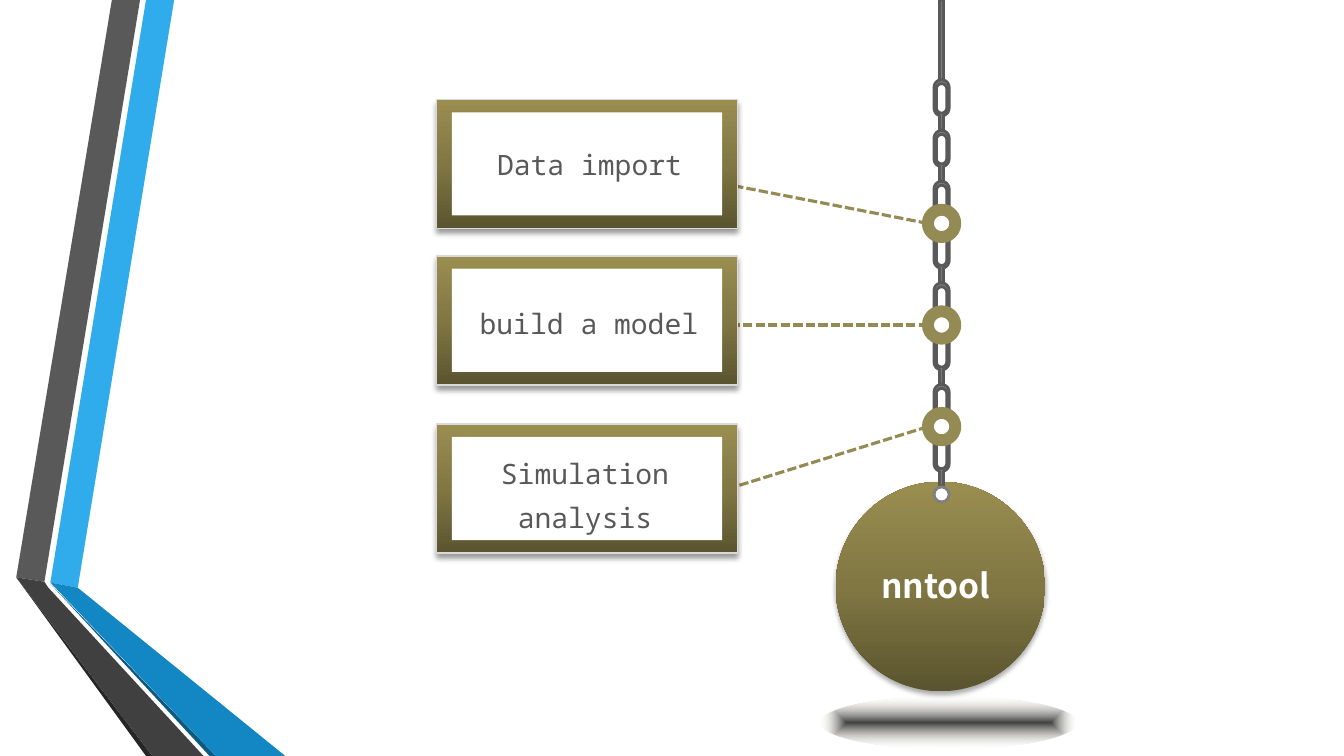
from math import cos, radians, sin
from lxml import etree
from pptx import Presentation
from pptx.dml.color import RGBColor
from pptx.enum.dml import MSO_LINE
from pptx.enum.shapes import MSO_CONNECTOR, MSO_SHAPE
from pptx.enum.text import PP_ALIGN
from pptx.oxml import parse_xml
from pptx.oxml.ns import nsdecls, qn
from pptx.util import Cm, Pt

WHITE = RGBColor(0xFF, 0xFF, 0xFF)
BLUE = RGBColor(0x30, 0xAC, 0xEC)
MID_BLUE = RGBColor(0x12, 0x87, 0xC3)
DEEP_BLUE = RGBColor(0x0C, 0x5A, 0x82)
BLACK_GRAY = RGBColor(0x26, 0x26, 0x26)
DARK_GRAY = RGBColor(0x40, 0x40, 0x40)
SLATE = RGBColor(0x59, 0x59, 0x59)
MID_GRAY = RGBColor(0x80, 0x80, 0x80)
SILVER = RGBColor(0xA6, 0xA6, 0xA6)
PALE_GRAY = RGBColor(0xD9, 0xD9, 0xD9)
CREAM = RGBColor(0xEE, 0xEC, 0xE1)
OLIVE = RGBColor(0x94, 0x8A, 0x54)
OLIVE_DARK = RGBColor(0x5A, 0x54, 0x2F)
OLIVE_MID = RGBColor(0x81, 0x77, 0x43)
OLIVE_LIGHT = RGBColor(0x99, 0x8D, 0x4F)
BLACK = RGBColor(0, 0, 0)

presentation = Presentation()
presentation.slide_width, presentation.slide_height = Cm(33.87), Cm(19.05)
slide = presentation.slides.add_slide(presentation.slide_layouts[6])
shapes = slide.shapes


def style(shape, fill, line=None, width=0):
    shape.shadow.inherit = False
    if fill is None:
        shape.fill.background()
    else:
        shape.fill.solid()
        shape.fill.fore_color.rgb = fill
    if line is None:
        shape.line.fill.background()
    else:
        shape.line.color.rgb = line
        shape.line.width = Pt(width)
    return shape


def add_outline(contours):
    (start, *_), *_ = contours
    builder = shapes.build_freeform(Cm(start[0]), Cm(start[1]))
    for contour in contours:
        if contour is not contours[0]:
            builder.move_to(Cm(contour[0][0]), Cm(contour[0][1]))
        builder.add_line_segments([(Cm(x), Cm(y)) for x, y in contour[1:]])
    return builder.convert_to_shape()


ribbons = [
    (BLUE, [(1.27, 14.68), (1.96, 14.81), (4.39, 0), (3.68, 0), (1.27, 14.68)]),
    (SLATE, [(3.53, 0), (2.82, 0), (0.41, 14.55), (1.12, 14.66), (3.53, 0)]),
    (BLACK_GRAY, [(0.41, 14.55), (3.68, 19.05), (3.84, 19.05), (0.41, 14.55)]),
    (DEEP_BLUE, [(1.27, 14.71), (5.28, 19.05), (5.44, 19.05), (1.27, 14.71)]),
    (MID_BLUE, [(1.27, 14.68), (5.44, 19.05), (7.19, 19.05), (1.96, 14.81), (1.27, 14.68)]),
    (DARK_GRAY, [(5.13, 19.05), (1.22, 14.81), (1.12, 14.66), (0.41, 14.55),
                 (3.84, 19.05), (5.13, 19.05)]),
]
for color, points in ribbons:
    style(add_outline([points]), color)

ball = shapes.add_shape(MSO_SHAPE.OVAL, Cm(21.06), Cm(12.14), Cm(5.28), Cm(5.28))
pin = shapes.add_shape(MSO_SHAPE.OVAL, Cm(23.62), Cm(12.27), Cm(0.15), Cm(0.25))
style(ball, None)
style(pin, None)

chain_x, chain_top, link_pitch = 23.73, 2.01, 1.28
top_arc = range(180, 361, 15)
bottom_arc = range(0, 181, 15)
for index in range(8):
    top = chain_top + index * link_pitch
    contours = []
    for radius, upper, lower in [(0.19, 0.19, 0.72), (0.13, 0.23, 0.71)]:
        contour = [(chain_x + radius * cos(radians(angle)), top + center + radius * sin(radians(angle)))
                   for arc, center in [(top_arc, upper), (bottom_arc, lower)] for angle in arc]
        contours.append(contour + contour[:1])
    stem = [(chain_x + 0.05, top + 0.9), (chain_x + 0.05, top + 1.27),
            (chain_x - 0.05, top + 1.27), (chain_x - 0.05, top + 0.9)]
    bottom_middle = len(top_arc) + len(bottom_arc) // 2
    contours[0][bottom_middle:bottom_middle + 1] = stem
    style(add_outline(contours), MID_GRAY, SLATE, 2)

rod = shapes.add_shape(MSO_SHAPE.ROUNDED_RECTANGLE, Cm(23.68), Cm(0), Cm(0.1), Cm(chain_top))
style(rod, MID_GRAY, SLATE, 2)
eyelet = shapes.add_shape(MSO_SHAPE.OVAL, Cm(23.54), Cm(12.27), Cm(0.38), Cm(0.38))
style(eyelet, WHITE, MID_GRAY, 2)
floor_shadow = shapes.add_shape(MSO_SHAPE.OVAL, Cm(20.68), Cm(17.55), Cm(6.45), Cm(1.32))
style(floor_shadow, None)

ring_size = 0.69
ring_centers = [5.63 + index * 2 * link_pitch for index in range(3)]
ring_left = chain_x - ring_size / 2
for center in ring_centers:
    ring = shapes.add_shape(MSO_SHAPE.OVAL, Cm(ring_left), Cm(center - ring_size / 2),
                            Cm(ring_size), Cm(ring_size))
    style(ring, WHITE, OLIVE, 8.5)

for center, end in zip(ring_centers, [4.65, 8.19, 12.32]):
    connector = shapes.add_connector(MSO_CONNECTOR.STRAIGHT, Cm(ring_left), Cm(center), Cm(18.34), Cm(end))
    connector.line.color.rgb = OLIVE
    connector.line.width = Pt(2.25)
    connector.line.dash_style = MSO_LINE.SQUARE_DOT
    etree.SubElement(connector._element.spPr, qn("a:effectLst"))

frames = []
for top in [2.51, 6.45, 10.69]:
    frame = shapes.add_shape(MSO_SHAPE.RECTANGLE, Cm(11), Cm(top), Cm(7.59), Cm(3.25))
    frames.append(style(frame, None, PALE_GRAY, 1))
    panel = shapes.add_shape(MSO_SHAPE.RECTANGLE, Cm(11.39), Cm(top + 0.32), Cm(6.81), Cm(2.6))
    style(panel, WHITE)

upward = '<a:lin ang="16200000" scaled="0"/>'
center_rect = '<a:fillToRect l="50000" t="50000" r="50000" b="50000"/>'
olive_stops = [(0, OLIVE_DARK, 100), (50, OLIVE_MID, 100), (100, OLIVE_LIGHT, 100)]
gradients = [(shape, olive_stops, upward) for shape in [ball, *frames]]
gradients += [
    (pin, [(0, SILVER, 100), (40, BLACK_GRAY, 100)], f'<a:path path="circle">{center_rect}</a:path>'),
    (floor_shadow, [(0, DARK_GRAY, 100), (100, CREAM, 0)], f'<a:path path="shape">{center_rect}</a:path>'),
]
for shape, stops, direction in gradients:
    stop_xml = "".join(
        f'<a:gs pos="{position * 1000}"><a:srgbClr val="{color}">'
        f'<a:alpha val="{alpha * 1000}"/></a:srgbClr></a:gs>'
        for position, color, alpha in stops)
    properties = shape._element.spPr
    properties.replace(properties.find(qn("a:noFill")), parse_xml(
        f'<a:gradFill {nsdecls("a")} rotWithShape="1"><a:gsLst>{stop_xml}</a:gsLst>{direction}</a:gradFill>'))

shadows = [(ball, 32, 3.5, 2.2)] + [(frame, 40, 4, 3) for frame in frames]
for shape, alpha, blur, distance in shadows:
    shape._element.spPr.find(qn("a:effectLst")).append(parse_xml(
        f'<a:outerShdw {nsdecls("a")} blurRad="{Pt(blur)}" dist="{Pt(distance)}" dir="5400000" '
        f'rotWithShape="0"><a:srgbClr val="{BLACK}"><a:alpha val="{alpha * 1000}"/>'
        f'</a:srgbClr></a:outerShdw>'))

labels = [
    ("nntool", 21.31, 14.1, 4.55, 1.27, "Noto Sans CJK SC", 24, WHITE, True, 1.0),
    ("Data import", 12.22, 3.35, 5.28, 1.27, "Noto Sans Mono", 20, SLATE, False, 1.3),
    ("build a model", 11.38, 7.34, 6.93, 1.27, "Noto Sans Mono", 20, SLATE, False, 1.3),
    ("Simulation analysis", 11.38, 11.13, 6.73, 2.39, "Noto Sans Mono", 20, SLATE, False, 1.3),
]
for text, left, top, width, height, font_name, size, color, bold, spacing in labels:
    label = shapes.add_textbox(Cm(left), Cm(top), Cm(width), Cm(height))
    label.text_frame.word_wrap = True
    paragraph = label.text_frame.paragraphs[0]
    paragraph.alignment = PP_ALIGN.CENTER
    paragraph.line_spacing = spacing
    run = paragraph.add_run()
    run.text = text
    run.font.name = font_name
    run.font.size = Pt(size)
    run.font.bold = bold
    run.font.color.rgb = color

presentation.save("out.pptx")
